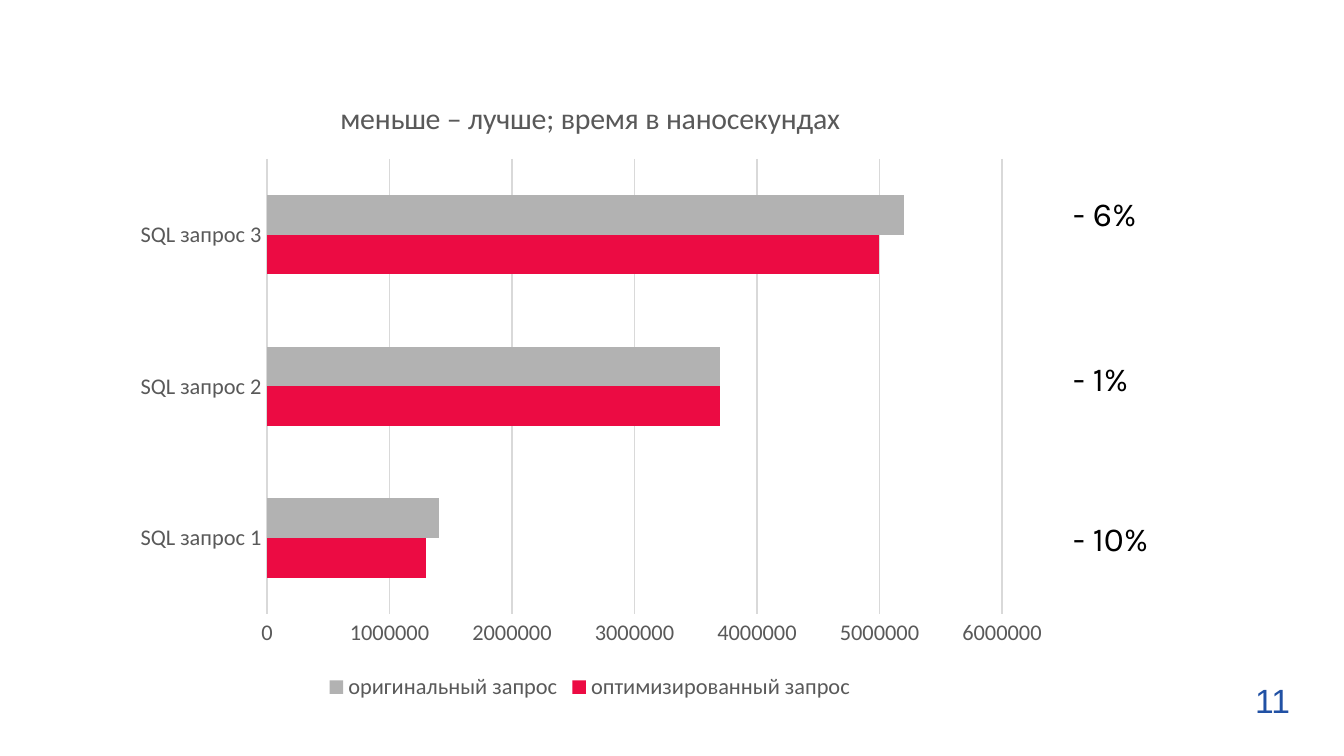
from dataclasses import dataclass

from lxml.etree import SubElement
from pptx import Presentation
from pptx.chart.data import CategoryChartData as ChartData
from pptx.dml.color import RGBColor as RGB
from pptx.enum.chart import XL_CHART_TYPE as Kind
from pptx.enum.chart import XL_LEGEND_POSITION as Spot
from pptx.enum.chart import XL_TICK_MARK as Tick
from pptx.enum.text import MSO_AUTO_SIZE as Fit
from pptx.oxml.ns import qn
from pptx.util import Emu, Pt

PX = 914400 / 134.4


@dataclass(frozen=True)
class Theme:
    black: str = "000000"
    blue: str = "2151A4"
    text: str = "595959"
    grid: str = "D9D9D9"
    red: str = "EC0B43"
    grey: str = "B2B2B2"
    body: int = 18
    head: int = 16
    small: int = 12
    base: int = 10
    line: float = 0.75


THEME = Theme()
CHART = (121, 77, 938, 629)
QUERIES = ("SQL запрос 1", "SQL запрос 2", "SQL запрос 3")
SERIES = (
    ("оптимизированный запрос", (1300000, 3700000, 5000000), THEME.red),
    ("оригинальный запрос", (1400000, 3700000, 5200000), THEME.grey),
)
GAINS = (("- 10%", 511), ("- 1%", 351), ("- 6%", 186))


def px(*vals):
    return [Emu(round(v * PX)) for v in vals]


def style(font, size, color, name="Calibri"):
    font.size, font.name, font.bold = Pt(size), name, False
    font.color.rgb = RGB.from_string(color)


def add_text(slide, text, box, color, name):
    frame = slide.shapes.add_textbox(*px(*box)).text_frame
    frame.word_wrap = True
    frame.auto_size = Fit.SHAPE_TO_FIT_TEXT
    para = frame.paragraphs[0]
    para.text = text
    style(para.font, THEME.body, color, name)


def place(node, index, **parts):
    """Fix a chart part at px lengths measured from the chart's corner."""
    for old in node.findall(qn("c:layout")):
        node.remove(old)
    layout = SubElement(node, qn("c:layout"))
    node.insert(index, layout)
    manual = SubElement(layout, qn("c:manualLayout"))
    if "w" in parts:
        SubElement(manual, qn("c:layoutTarget")).set("val", "inner")
    for key in ("x", "y"):
        SubElement(manual, qn(f"c:{key}Mode")).set("val", "edge")
    wide, high = CHART[2:]
    for key, val in parts.items():
        share = val / (wide if key in "xw" else high)
        SubElement(manual, qn(f"c:{key}")).set("val", f"{share:.4f}")


def rule(line):
    line.width = Pt(THEME.line)
    line.color.rgb = RGB.from_string(THEME.grid)


def set_axes(chart):
    cats, vals = chart.category_axis, chart.value_axis
    for axis in (cats, vals):
        axis.major_tick_mark = axis.minor_tick_mark = Tick.NONE
        style(axis.tick_labels.font, THEME.small, THEME.text)
    rule(cats.format.line)
    vals.format.line.fill.background()
    vals.has_major_gridlines = True
    rule(vals.major_gridlines.format.line)
    vals.minimum_scale, vals.maximum_scale = 0, 6000000
    vals.major_unit = 1000000


def add_bars(slide, title):
    data = ChartData(number_format="General")
    data.categories = QUERIES
    for name, vals, _ in SERIES:
        data.add_series(name, vals)
    chart = slide.shapes.add_chart(Kind.BAR_CLUSTERED, *px(*CHART), data).chart
    style(chart.font, THEME.base, THEME.black)
    plot = chart.plots[0]
    plot.gap_width, plot.vary_by_categories = 182, False
    for bar, (_, _, color) in zip(plot.series, SERIES):
        bar.format.fill.solid()
        bar.format.fill.fore_color.rgb = RGB.from_string(color)
    set_axes(chart)

    chart.has_title = True
    para = chart.chart_title.text_frame.paragraphs[0]
    para.text = title
    style(para.font, THEME.head, THEME.text)
    chart.chart_title.include_in_layout = False
    chart.has_legend = True
    chart.legend.position = Spot.BOTTOM
    chart.legend.include_in_layout = False
    style(chart.legend.font, THEME.small, THEME.text)

    root = chart.element.find(qn("c:chart"))
    place(root.find(qn("c:title")), 1, x=214, y=16)
    place(root.find(qn("c:plotArea")), 0, x=146, y=82, w=735, h=455)


def main():
    deck = Presentation()
    deck.slide_width, deck.slide_height = px(1344, 756)
    slide = deck.slides.add_slide(deck.slide_layouts[6])
    add_text(slide, "11", (1242, 673, 70, 54), THEME.blue, "Arial")
    add_bars(slide, "меньше – лучше; время в наносекундах")
    for gain, top in GAINS:
        add_text(slide, gain, (1060, top, 117, 54), THEME.black, "Karla")
    deck.save("out.pptx")


if __name__ == "__main__":
    main()
